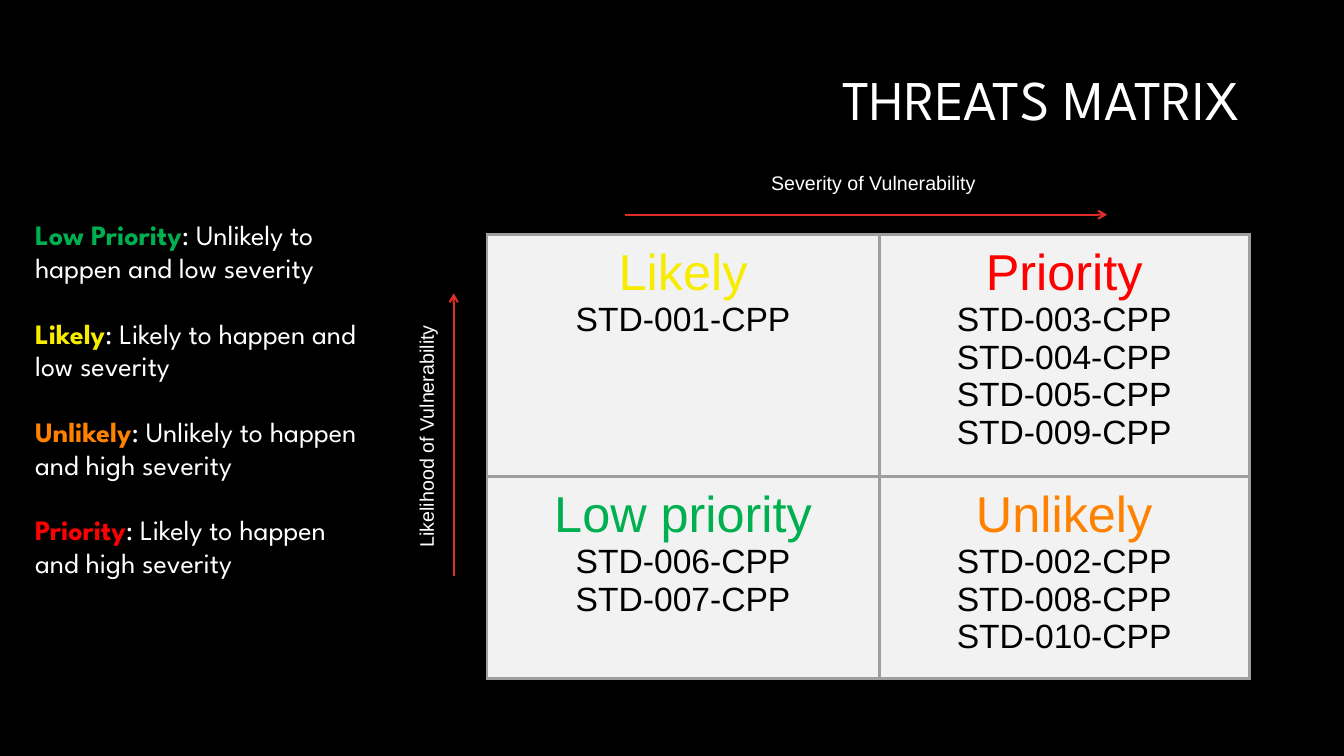
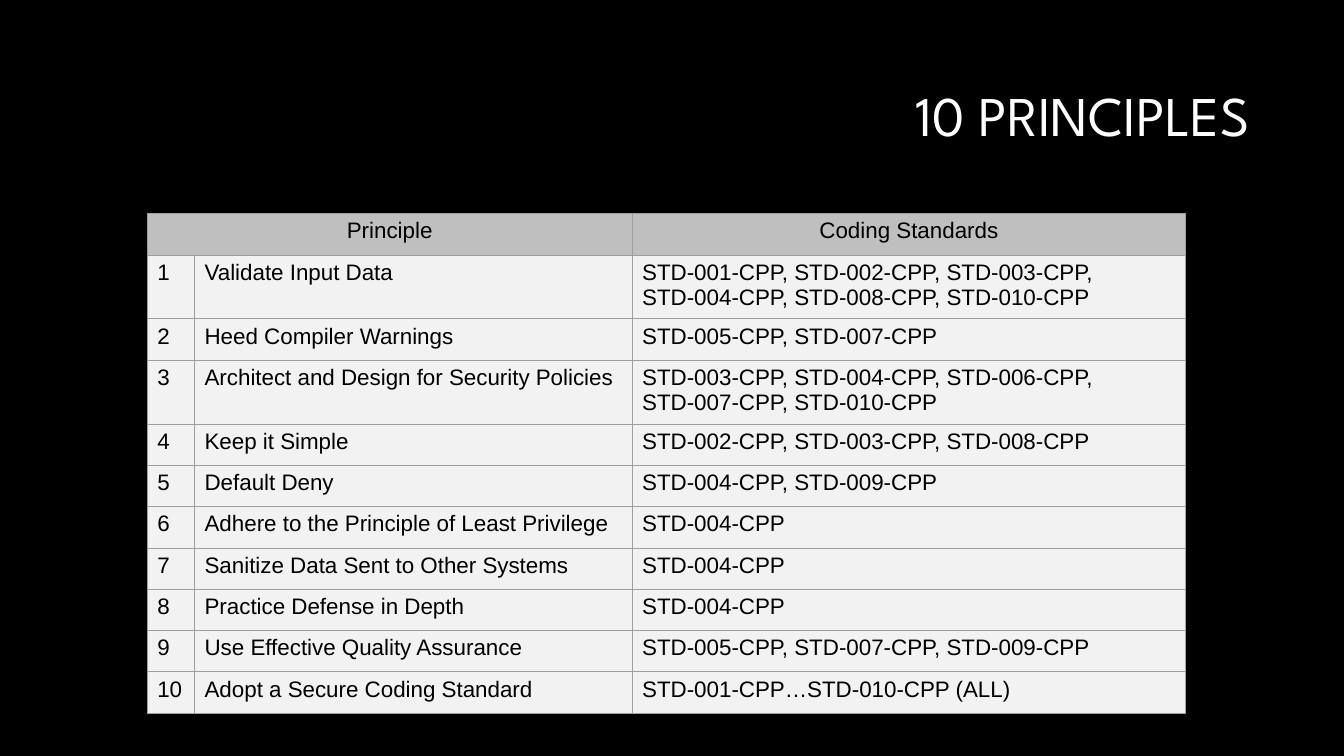
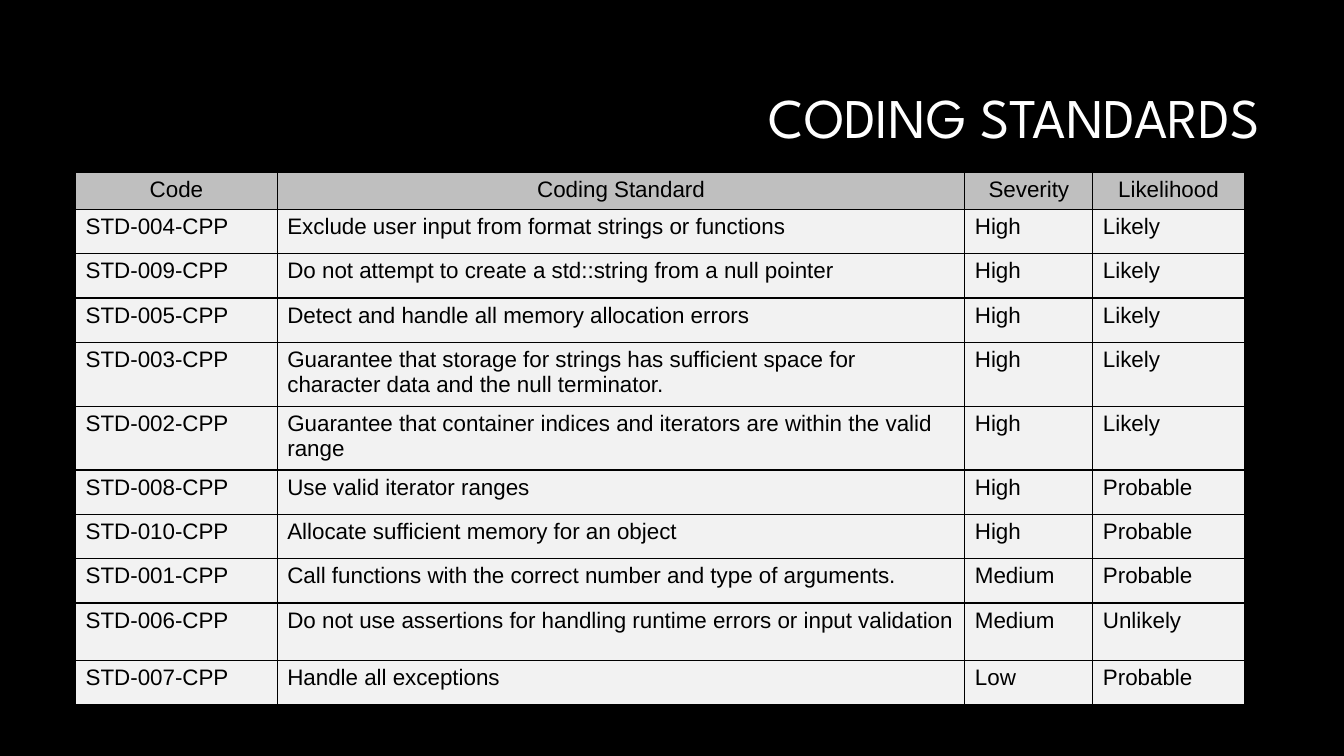
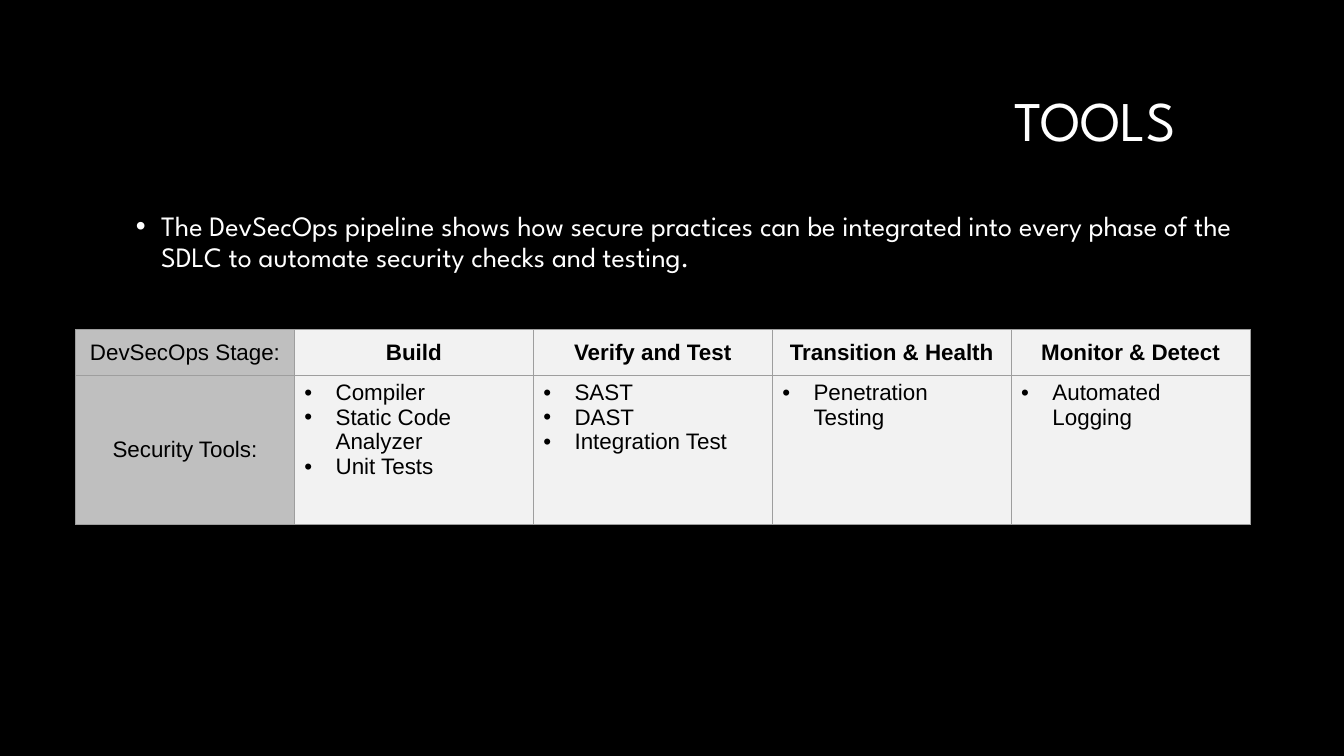
from lxml.etree import SubElement
from pptx import Presentation
from pptx.dml.color import RGBColor
from pptx.enum.shapes import MSO_CONNECTOR
from pptx.enum.text import MSO_ANCHOR as ANCHOR, PP_ALIGN as ALIGN
from pptx.oxml.ns import qn
from pptx.util import Emu, Pt

EMU_PER_PX = 9144
DISPLAY, PLAIN = "League Spartan", "Arial"
COLORS = {
    "background": "000000", "light": "FFFFFF", "dark": "000000",
    "header": "BFBFBF", "body": "F2F2F2", "grid": "9E9E9E", "axis": "DF2E28",
    "low": "00B050", "likely": "F7EB00", "unlikely": "FF8100", "priority": "FF0000",
}

LEGEND = [
    ("Low Priority", "low", ": Unlikely to happen and low severity"),
    ("Likely", "likely", ": Likely to happen and low severity"),
    ("Unlikely", "unlikely", ": Unlikely to happen and high severity"),
    ("Priority", "priority", ": Likely to happen and high severity"),
]
QUADRANTS = [
    [("likely", "Likely\nSTD-001-CPP"),
     ("priority", "Priority\nSTD-003-CPP\nSTD-004-CPP\nSTD-005-CPP\nSTD-009-CPP")],
    [("low", "Low priority\nSTD-006-CPP\nSTD-007-CPP"),
     ("unlikely", "Unlikely\nSTD-002-CPP\nSTD-008-CPP\nSTD-010-CPP")],
]
PRINCIPLES = [
    ("Validate Input Data",
     "STD-001-CPP, STD-002-CPP, STD-003-CPP,\nSTD-004-CPP, STD-008-CPP, STD-010-CPP"),
    ("Heed Compiler Warnings", "STD-005-CPP, STD-007-CPP"),
    ("Architect and Design for Security Policies",
     "STD-003-CPP, STD-004-CPP, STD-006-CPP,\nSTD-007-CPP, STD-010-CPP"),
    ("Keep it Simple", "STD-002-CPP, STD-003-CPP, STD-008-CPP"),
    ("Default Deny", "STD-004-CPP, STD-009-CPP"),
    ("Adhere to the Principle of Least Privilege", "STD-004-CPP"),
    ("Sanitize Data Sent to Other Systems", "STD-004-CPP"),
    ("Practice Defense in Depth", "STD-004-CPP"),
    ("Use Effective Quality Assurance", "STD-005-CPP, STD-007-CPP, STD-009-CPP"),
    ("Adopt a Secure Coding Standard", "STD-001-CPP…STD-010-CPP (ALL)"),
]
STANDARDS = [
    ("STD-004-CPP", "Exclude user input from format strings or functions", "High", "Likely"),
    ("STD-009-CPP", "Do not attempt to create a std::string from a null pointer", "High", "Likely"),
    ("STD-005-CPP", "Detect and handle all memory allocation errors", "High", "Likely"),
    ("STD-003-CPP", "Guarantee that storage for strings has sufficient space for "
     "character data and the null terminator.", "High", "Likely"),
    ("STD-002-CPP", "Guarantee that container indices and iterators are within the valid range",
     "High", "Likely"),
    ("STD-008-CPP", "Use valid iterator ranges", "High", "Probable"),
    ("STD-010-CPP", "Allocate sufficient memory for an object", "High", "Probable"),
    ("STD-001-CPP", "Call functions with the correct number and type of arguments.",
     "Medium", "Probable"),
    ("STD-006-CPP", "Do not use assertions for handling runtime errors or input validation",
     "Medium", "Unlikely"),
    ("STD-007-CPP", "Handle all exceptions", "Low", "Probable"),
]
STAGES = [
    ("Build", "Compiler\nStatic Code Analyzer\nUnit Tests"),
    ("Verify and Test", "SAST\nDAST\nIntegration Test"),
    ("Transition & Health", "Penetration Testing"),
    ("Monitor & Detect", "Automated Logging"),
]


def px(length):
    """Turn px into EMU."""
    return Emu(length * EMU_PER_PX)


def rgb(role):
    """Look up a colour by its role."""
    return RGBColor.from_string(COLORS[role])


def indent(paragraph, left, hang=0):
    """Indent a paragraph, with a hanging bullet if hang is given."""
    props = paragraph._p.get_or_add_pPr()
    props.set("marL", str(px(left)))
    props.set("indent", str(px(-hang)))
    if hang:
        SubElement(props, qn("a:buFont")).set("typeface", PLAIN)
        SubElement(props, qn("a:buChar")).set("char", "•")


def style(paragraph, size, font=PLAIN, color=None, bold=None, align=None, spacing=None):
    """Set the font and layout of one paragraph."""
    paragraph.font.name, paragraph.font.size, paragraph.font.bold = font, Pt(size), bold
    if color:
        paragraph.font.color.rgb = rgb(color)
    paragraph.alignment, paragraph.line_spacing = align, spacing


def text_area(slide, box, text=""):
    """Add a wrapping text box and return it."""
    area = slide.shapes.add_textbox(*map(px, box))
    area.text_frame.word_wrap = True
    area.text_frame.text = text
    return area


def titled_slide(deck, title, left, top):
    """Add a blank slide with the shared right-aligned title."""
    slide = deck.slides.add_slide(deck.slide_layouts[6])
    frame = text_area(slide, (left, top, 942, 141), title).text_frame
    frame.vertical_anchor = ANCHOR.MIDDLE
    style(frame.paragraphs[0], 40, DISPLAY, "light", align=ALIGN.RIGHT, spacing=0.9)
    return slide


def border(cell, color, width):
    """Draw all four edges of a cell."""
    props = cell._tc.get_or_add_tcPr()
    for position, edge in enumerate(("lnL", "lnR", "lnT", "lnB")):
        line = SubElement(props, qn(f"a:{edge}"), w=str(Pt(width)))
        fill = SubElement(line, qn("a:solidFill"))
        SubElement(fill, qn("a:srgbClr")).set("val", COLORS[color])
        props.insert(position, line)


def grid(slide, left, top, columns, rows, line="grid", width=0.75):
    """Add a plain table with bordered light cells."""
    box = map(px, (left, top, sum(columns), sum(rows)))
    table = slide.shapes.add_table(len(rows), len(columns), *box).table
    table.first_row = table.horz_banding = False
    for column, size in zip(table.columns, columns):
        column.width = px(size)
    for row, size in zip(table.rows, rows):
        row.height = px(size)
    for cell in table.iter_cells():
        cell.fill.solid()
        cell.fill.fore_color.rgb = rgb("body")
        border(cell, line, width)
    return table


def write(cell, text, header=False, size=16, align=None, bold=None, hang=0):
    """Fill a cell with one paragraph per line of text."""
    cell.text_frame.text = text
    if header:
        cell.fill.fore_color.rgb = rgb("header")
        align = ALIGN.CENTER
    for paragraph in cell.text_frame.paragraphs:
        if hang:
            indent(paragraph, hang, hang)
        style(paragraph, size, color="dark", bold=bold, align=align)


def fill_list(table, header, records):
    """Fill a header row and the records under it."""
    for y, record in enumerate([header, *records]):
        for x, text in enumerate(record):
            if text:
                write(table.cell(y, x), text, header=y == 0)


def axis(slide, start, end, label, label_box, upright=False):
    """Draw an axis arrow and its label."""
    arrow = slide.shapes.add_connector(MSO_CONNECTOR.STRAIGHT, *map(px, start + end))
    arrow.line.color.rgb = rgb("axis")
    arrow.line.width = Pt(1.5)
    props = arrow.element.spPr
    SubElement(props.find(qn("a:ln")), qn("a:tailEnd")).set("type", "arrow")
    SubElement(props, qn("a:effectLst"))
    caption = text_area(slide, label_box, label)
    style(caption.text_frame.paragraphs[0], 14, color="light")
    if upright:
        caption.element.txBody.bodyPr.set("vert", "vert270")


def legend(slide, box):
    """List the meaning of each quadrant."""
    frame = text_area(slide, box).text_frame
    for number, (term, color, meaning) in enumerate(LEGEND):
        entry = frame.add_paragraph() if number else frame.paragraphs[0]
        indent(entry, 25)
        style(entry, 20, DISPLAY, spacing=0.98)
        entry.space_after = Pt(23)
        for text, role, bold in ((term, color, True), (meaning, "light", False)):
            run = entry.add_run()
            run.text, run.font.bold = text, bold
            run.font.color.rgb = rgb(role)


def matrix(slide, left, top):
    """Draw the quadrants with their axes."""
    table = grid(slide, left, top, (389, 367), (191, 191), width=2.25)
    for y, row in enumerate(QUADRANTS):
        for x, (color, text) in enumerate(row):
            cell = table.cell(y, x)
            cell.margin_top = cell.margin_bottom = px(10)
            write(cell, text, size=24, align=ALIGN.CENTER)
            style(cell.text_frame.paragraphs[0], 36, color=color, align=ALIGN.CENTER)
    axis(slide, (left - 33, top + 338), (left - 33, top + 58),
         "Likelihood of Vulnerability", (left - 77, top + 73, 44, 247), upright=True)
    axis(slide, (left + 137, top - 20), (left + 615, top - 20),
         "Severity of Vulnerability", (left + 272, top - 68, 306, 34))


def threats_slide(deck):
    """Build the threats matrix slide."""
    slide = titled_slide(deck, "THREATS MATRIX", 297, 31)
    legend(slide, (0, 213, 374, 440))
    matrix(slide, 483, 233)


def principles_slide(deck):
    """Build the slide that maps principles to standards."""
    slide = titled_slide(deck, "10 PRINCIPLES", 307, 47)
    table = grid(slide, 146, 212, (47, 434, 549), [41] * (len(PRINCIPLES) + 1))
    table.cell(0, 0).merge(table.cell(0, 1))
    numbered = [(str(n), *record) for n, record in enumerate(PRINCIPLES, 1)]
    fill_list(table, ("Principle", "", "Coding Standards"), numbered)


def standards_slide(deck):
    """Build the slide of coding standards."""
    slide = titled_slide(deck, "CODING STANDARDS", 317, 49)
    rows = [33] + [57 if len(record[1]) > 65 else 44 for record in STANDARDS]
    table = grid(slide, 75, 171, (200, 682, 127, 150), rows, "dark", 1)
    fill_list(table, ("Code", "Coding Standard", "Severity", "Likelihood"), STANDARDS)


def tools_slide(deck):
    """Build the slide of tools by pipeline stage."""
    slide = titled_slide(deck, "TOOLS", 234, 52)
    summary = text_area(slide, (75, 206, 1183, 440),
                        "The DevSecOps pipeline shows how secure practices can be integrated into "
                        "every phase of the SDLC to automate security checks and testing.")
    point = summary.text_frame.paragraphs[0]
    indent(point, 75, 25)
    style(point, 20, DISPLAY, "light", spacing=0.9)
    table = grid(slide, 75, 327, [217] + [237] * len(STAGES), (45, 148))
    for y, label in enumerate(("DevSecOps Stage:", "Security Tools:")):
        write(table.cell(y, 0), label, header=True)
        table.cell(y, 0).vertical_anchor = ANCHOR.MIDDLE
    for x, (stage, tools) in enumerate(STAGES, 1):
        write(table.cell(0, x), stage, align=ALIGN.CENTER, bold=True)
        table.cell(0, x).vertical_anchor = ANCHOR.MIDDLE
        write(table.cell(1, x), tools, hang=31)


def main():
    """Build and save the deck."""
    deck = Presentation()
    deck.slide_width, deck.slide_height = px(1333), px(750)
    backdrop = deck.slide_master.background.fill
    backdrop.solid()
    backdrop.fore_color.rgb = rgb("background")
    for build in (threats_slide, principles_slide, standards_slide, tools_slide):
        build(deck)
    deck.save("out.pptx")


if __name__ == "__main__":
    main()
